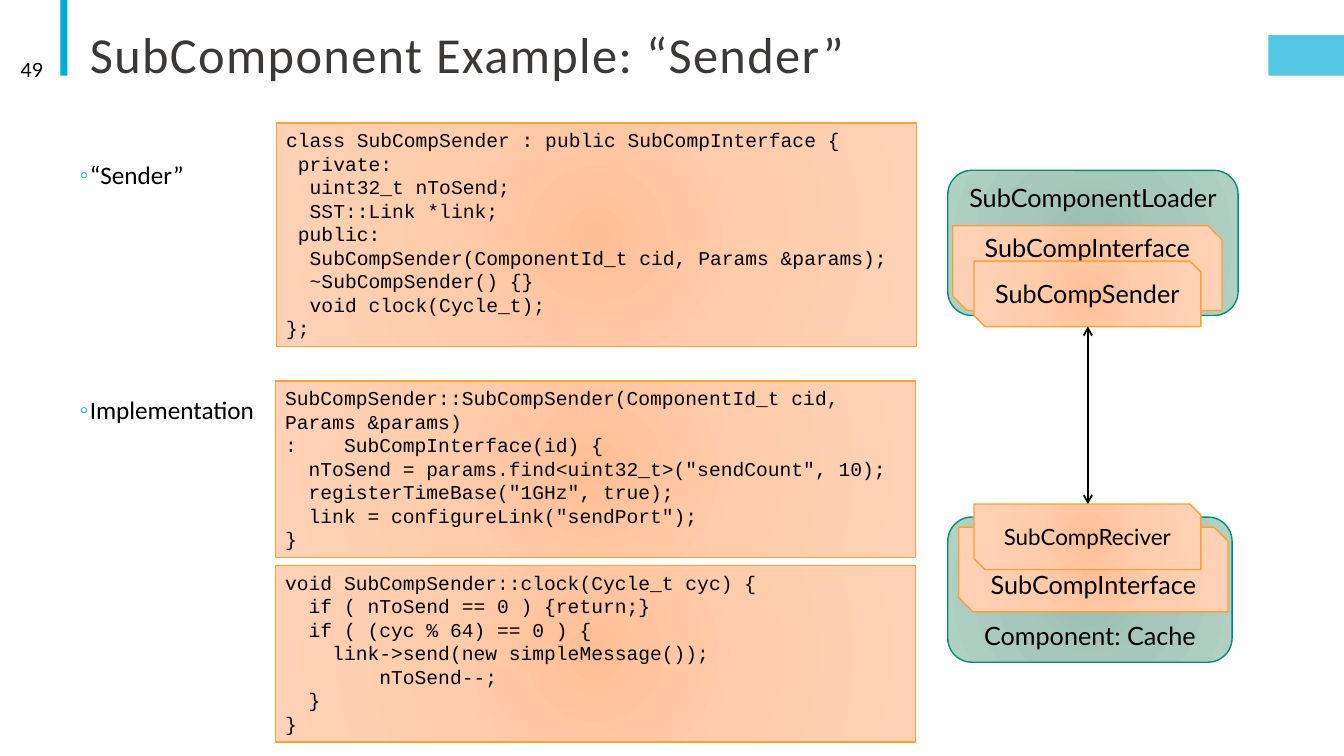
import pptx
import pptx.util
import pptx.dml.color
import pptx.enum.shapes
import pptx.enum.text
import pptx.oxml.ns
from dataclasses import dataclass
from lxml import etree

SHAPE = pptx.enum.shapes.MSO_SHAPE
ANCHOR = pptx.enum.text.MSO_ANCHOR
ALIGN = pptx.enum.text.PP_ALIGN
Pt = pptx.util.Pt
qn = pptx.oxml.ns.qn


@dataclass(frozen=True)
class Theme:
    ink: str = "000000"
    head: str = "3B3838"
    accent: str = "00ACD9"
    bullet: str = "00B0F0"
    green: tuple = ("97BDB0", "A8C7BC", "B0D0C4", "008E74")
    peach: tuple = ("FFBF96", "FFCCAC", "FFD2B7", "FFA033")
    sans: str = "Calibri"
    label: str = "Lato"
    mono: str = "Courier New"
    title: int = 36
    body: int = 18
    small: int = 16
    code: int = 14


THEME = Theme()

DECL = """class SubCompSender : public SubCompInterface {
 private:
  uint32_t nToSend;
  SST::Link *link;
 public:
  SubCompSender(ComponentId_t cid, Params &params);
  ~SubCompSender() {}
  void clock(Cycle_t);
};"""
INIT = """SubCompSender::SubCompSender(ComponentId_t cid, Params &params)
:    SubCompInterface(id) {
  nToSend = params.find<uint32_t>("sendCount", 10);
  registerTimeBase("1GHz", true);
  link = configureLink("sendPort");
}"""
CLOCK = """void SubCompSender::clock(Cycle_t cyc) {
  if ( nToSend == 0 ) {return;}
  if ( (cyc % 64) == 0 ) {
    link->send(new simpleMessage());
        nToSend--;
  }
}"""


def px(n):
    """Turn px, 100 to the inch, into EMU."""
    return pptx.util.Emu(n * 9144)


def rgb(code):
    return pptx.dml.color.RGBColor.from_string(code)


def node(parent, tag, **attrs):
    return etree.SubElement(parent, qn(tag), attrs)


def move(shape, box):
    shape.left, shape.top, shape.width, shape.height = map(px, box)


def write(shape, text, font=THEME.label, size=THEME.body, color=THEME.ink,
          align=ALIGN.LEFT, anchor=ANCHOR.TOP, inset=(10, 5, 10, 5),
          lead=None, before=0, after=0, bullet=None, track=0):
    """Fill a shape with one paragraph per line of text."""
    frame = shape.text_frame
    frame.word_wrap = True
    frame.auto_size = pptx.enum.text.MSO_AUTO_SIZE.NONE
    frame.vertical_anchor = anchor
    (frame.margin_left, frame.margin_top,
     frame.margin_right, frame.margin_bottom) = map(px, inset)
    for i, line in enumerate(text.split("\n")):
        para = frame.add_paragraph() if i else frame.paragraphs[0]
        para.alignment = align
        para.line_spacing = lead
        para.space_before = Pt(before if i else 0)
        para.space_after = Pt(after)
        if bullet:
            props = para._p.get_or_add_pPr()
            props.set("marL", str(px(10)))
            props.set("indent", str(px(-20)))
            node(node(props, "a:buClr"), "a:srgbClr", val=THEME.bullet)
            node(props, "a:buChar", char=bullet)
        run = para.add_run()
        run.text = line
        run.font.name = font
        run.font.size = Pt(size)
        run.font.color.rgb = rgb(color)
        if track:
            run._r.get_or_add_rPr().set("spc", str(track * 100))


def bar(slide, box, alpha=100):
    shape = slide.shapes.add_shape(SHAPE.RECTANGLE, *map(px, box))
    shape.shadow.inherit = False
    shape.fill.solid()
    shape.fill.fore_color.rgb = rgb(THEME.accent)
    shape.line.fill.background()
    if alpha < 100:
        color = shape._element.spPr.find(".//" + qn("a:srgbClr"))
        node(color, "a:alpha", val=str(alpha * 1000))


def panel(slide, kind, box, tint, text, **form):
    """Draw a labelled shape with a glow from its centre."""
    shape = slide.shapes.add_shape(kind, *map(px, box))
    shape.shadow.inherit = False
    shape.fill.gradient()
    grad = shape._element.spPr.find(qn("a:gradFill"))
    for child in list(grad):
        grad.remove(child)
    stops = node(grad, "a:gsLst")
    for pos, color in zip((0, 45, 100), tint):
        stop = node(stops, "a:gs", pos=str(pos * 1000))
        node(stop, "a:srgbClr", val=color)
    ring = node(grad, "a:path", path="circle")
    node(ring, "a:fillToRect", **dict.fromkeys("ltrb", "100000"))
    shape.line.color.rgb = rgb(tint[-1])
    shape.line.width = Pt(1)
    write(shape, text, **form)


def header(slide, box):
    x, y, w, h = box
    bar(slide, (x + 60, y, 7, 75))
    bar(slide, (x + w - 75, y + 35, 75, 40), alpha=67)
    move(slide.shapes.title, (x + 79, y + 26, 1100, 62))
    write(slide.shapes.title, "SubComponent Example: “Sender”",
          font=THEME.sans, size=THEME.title, color=THEME.head,
          anchor=ANCHOR.BOTTOM, lead=0.85, track=1)
    page = slide.shapes.add_textbox(*map(px, (x + 7, y + 49, 46, 40)))
    write(page, "49", size=THEME.code, align=ALIGN.RIGHT, anchor=ANCHOR.MIDDLE)


def topics(slide, box):
    body = slide.placeholders[1]
    move(body, box)
    write(body, "“Sender”\nImplementation", font=THEME.sans,
          inset=(0, 5, 0, 5), lead=0.9, before=147, after=2, bullet="◦")


def listing(slide, box):
    x, y, w, h = box
    for dx, dy, high, code in ((1, 0, 222, DECL), (0, 256, 175, INIT),
                               (0, 439, 175, CLOCK)):
        panel(slide, SHAPE.RECTANGLE, (x + dx, y + dy, w, high), THEME.peach,
              code, font=THEME.mono, size=THEME.code, lead=Pt(16.8))


def stack(slide, box, host, inner, part, anchor, size=THEME.body):
    """Nest an interface in its host; inner gives its offset, part its plug."""
    x, y, w, h = box
    dx, dy = inner
    top, name = part
    mid = dict(align=ALIGN.CENTER)
    panel(slide, SHAPE.ROUNDED_RECTANGLE, box, THEME.green, host,
          anchor=anchor, **mid)
    snip = SHAPE.SNIP_2_DIAG_RECTANGLE
    panel(slide, snip, (x + dx, y + dy, 267, 84), THEME.peach,
          "SubCompInterface", anchor=anchor, inset=(10, 0, 10, 5), **mid)
    panel(slide, snip, (x + 26, y + top, 225, 65), THEME.peach, name,
          size=size, anchor=ANCHOR.MIDDLE, **mid)


def diagram(slide, box):
    x, y, w, h = box
    stack(slide, (x, y, w, 144), "SubComponentLoader", (5, 55),
          (90, "SubCompSender"), ANCHOR.TOP)
    stack(slide, (x, y + 344, w - 6, 144), "Component: Cache", (11, 10),
          (-13, "SubCompReciver"), ANCHOR.BOTTOM, THEME.small)
    mid = x + 139
    link = slide.shapes.add_connector(
        pptx.enum.shapes.MSO_CONNECTOR.STRAIGHT,
        *map(px, (mid, y + 155, mid, y + 331)))
    link.line.color.rgb = rgb(THEME.ink)
    link.line.width = Pt(1.25)
    props = link._element.spPr
    for end in ("a:headEnd", "a:tailEnd"):
        node(props.find(qn("a:ln")), end, type="arrow")
    node(props, "a:effectLst")


def main():
    deck = pptx.Presentation()
    deck.slide_width, deck.slide_height = px(1333), px(750)
    slide = deck.slides.add_slide(deck.slide_layouts[1])
    header(slide, (0, 0, 1333, 88))
    topics(slide, (79, 156, 1180, 510))
    diagram(slide, (940, 169, 288, 488))
    listing(slide, (273, 122, 635, 614))
    deck.save("out.pptx")


if __name__ == "__main__":
    main()
